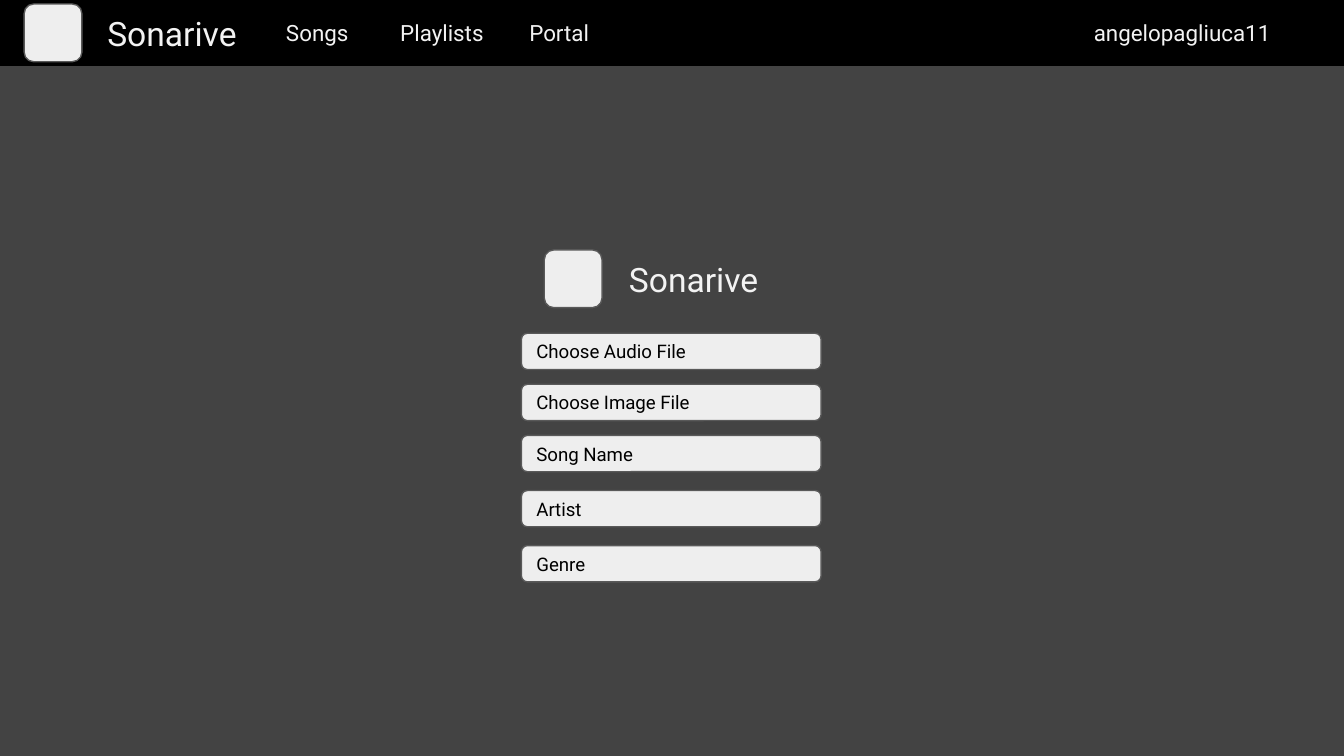
from dataclasses import dataclass
from itertools import accumulate

from pptx import Presentation
from pptx.dml.color import RGBColor
from pptx.enum.shapes import MSO_SHAPE as Shape
from pptx.enum.text import MSO_ANCHOR as Anchor, MSO_AUTO_SIZE as AutoSize, PP_ALIGN as Align
from pptx.shapes.autoshape import Shape as AutoShape
from pptx.slide import Slide
from pptx.util import Inches, Pt


@dataclass(frozen=True)
class Theme:
    font: str = "Roboto"
    page: str = "434343"
    bar: str = "000000"
    panel: str = "EEEEEE"
    outline: str = "595959"
    light: str = "F3F3F3"
    dark: str = "000000"
    brand_size: int = 18
    nav_size: int = 12
    field_size: int = 10


@dataclass(frozen=True)
class Box:
    left: float
    top: float
    width: float
    height: float

    def emu(self) -> tuple[int, int, int, int]:
        return Inches(self.left), Inches(self.top), Inches(self.width), Inches(self.height)


@dataclass(frozen=True)
class Label:
    text: str
    box: Box
    size: int


THEME = Theme()
BRAND = "Sonarive"
SLIDE_WIDTH = 10
SLIDE_HEIGHT = SLIDE_WIDTH * 9 / 16
BAR_HEIGHT = 0.49
TILE = 0.43
HEADER_TOP = 0.03
FORM_TOP = 1.86


def header_label(text: str, left: float, width: float, size: int = THEME.nav_size) -> Label:
    return Label(text, Box(left, HEADER_TOP, width, TILE), size)


HEADER = [
    header_label(BRAND, 0.7, 2.89, THEME.brand_size),
    header_label("Songs", 2.03, 0.84),
    header_label("Playlists", 2.88, 0.84),
    header_label("Portal", 3.84, 0.84),
    header_label("angelopagliuca11", 8.04, 1.78),
]
FORM_TITLE = Label(BRAND, Box(4.58, FORM_TOP, 1.26, TILE), THEME.brand_size)
TILES = [Box(0.18, HEADER_TOP, TILE, TILE), Box(4.05, FORM_TOP, TILE, TILE)]

FIELD_NAMES = ["Choose Audio File", "Choose Image File", "Song Name", "Artist", "Genre"]
FILE_STEP, DETAIL_STEP = 0.38, 0.41
FIELD_TOPS = accumulate([2.48] + [FILE_STEP] * 2 + [DETAIL_STEP] * 2)
FIELDS = [
    Label(name, Box(3.88, top, 2.23, 0.27), THEME.field_size)
    for name, top in zip(FIELD_NAMES, FIELD_TOPS)
]


def write(sp: AutoShape, label: Label, color: str) -> None:
    tf = sp.text_frame
    tf.auto_size = AutoSize.NONE
    tf.word_wrap = True
    tf.vertical_anchor = Anchor.MIDDLE
    tf.margin_left = tf.margin_right = tf.margin_top = tf.margin_bottom = Inches(0.1)
    p = tf.paragraphs[0]
    p.text = label.text
    p.alignment = Align.LEFT
    p.font.name = THEME.font
    p.font.size = Pt(label.size)
    p.font.color.rgb = RGBColor.from_string(color)


def add_bar(s: Slide, box: Box) -> None:
    sp = s.shapes.add_shape(Shape.RECTANGLE, *box.emu())
    sp.shadow.inherit = False
    sp.fill.solid()
    sp.fill.fore_color.rgb = RGBColor.from_string(THEME.bar)
    sp.line.fill.background()


def add_panel(s: Slide, box: Box) -> AutoShape:
    sp = s.shapes.add_shape(Shape.ROUNDED_RECTANGLE, *box.emu())
    sp.shadow.inherit = False
    sp.fill.solid()
    sp.fill.fore_color.rgb = RGBColor.from_string(THEME.panel)
    sp.line.color.rgb = RGBColor.from_string(THEME.outline)
    sp.line.width = Pt(0.75)
    return sp


def place_title(s: Slide, label: Label) -> None:
    sp = s.shapes.title
    sp.left, sp.top, sp.width, sp.height = label.box.emu()
    write(sp, label, THEME.light)


def main() -> None:
    prs = Presentation()
    prs.slide_width, prs.slide_height = Inches(SLIDE_WIDTH), Inches(SLIDE_HEIGHT)
    s = prs.slides.add_slide(prs.slide_layouts.get_by_name("Title Only"))
    s.background.fill.solid()
    s.background.fill.fore_color.rgb = RGBColor.from_string(THEME.page)

    place_title(s, FORM_TITLE)
    add_bar(s, Box(0, 0, SLIDE_WIDTH, BAR_HEIGHT))
    for box in TILES:
        add_panel(s, box)
    for label in HEADER:
        write(s.shapes.add_textbox(*label.box.emu()), label, THEME.light)
    for label in FIELDS:
        write(add_panel(s, label.box), label, THEME.dark)

    prs.save("out.pptx")


if __name__ == "__main__":
    main()
